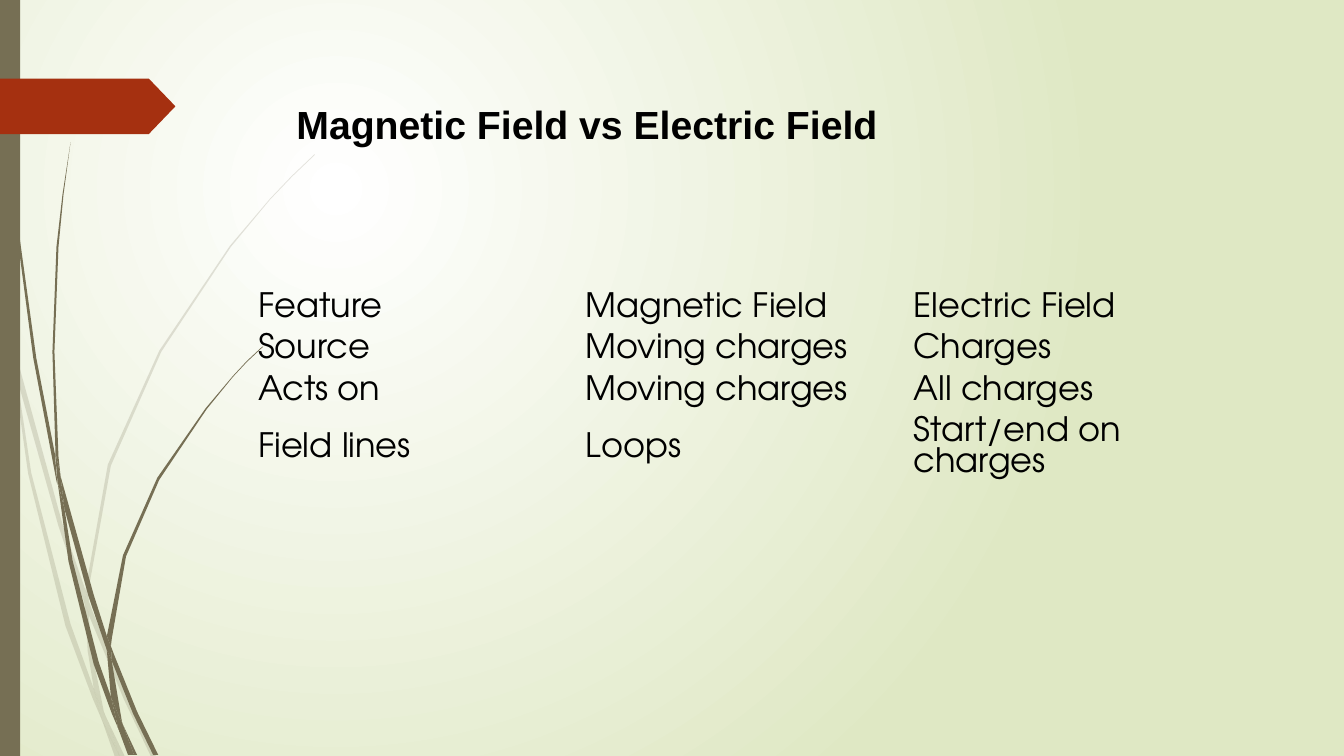
from dataclasses import dataclass

from lxml import etree
from pptx import Presentation
from pptx.dml.color import RGBColor
from pptx.enum.shapes import MSO_SHAPE
from pptx.enum.text import MSO_ANCHOR, MSO_AUTO_SIZE, PP_ALIGN
from pptx.oxml.ns import qn
from pptx.util import Inches, Pt

RECT, ARROW = MSO_SHAPE.RECTANGLE, MSO_SHAPE.PENTAGON
MIDDLE, LEFT, FIXED = MSO_ANCHOR.MIDDLE, PP_ALIGN.LEFT, MSO_AUTO_SIZE.NONE
NO_GRID = "{2D5ABB26-0587-4C30-8999-92F81FD0307C}"

TITLE = "Magnetic Field vs Electric Field"
ROWS = [
    ("Feature", "Magnetic Field", "Electric Field"),
    ("Source", "Moving charges", "Charges"),
    ("Acts on", "Moving charges", "All charges"),
    ("Field lines", "Loops", "Start/end on charges"),
]
HEIGHTS = [0.41, 0.41, 0.41, 0.72]
COL = 3.25

PALE = [
    [(0.11, 3.5), (0.09, 3.22), (0, 2.82), (0, 2.99), (0.1, 3.44)],
    [(0.58, 5.22), (0.84, 5.99), (0.85, 5.86), (0.62, 5.2), (0.14, 3.45), (0.17, 3.76)],
    [(0.92, 6.07), (0.88, 5.96), (0.88, 6.1), (1.23, 6.94), (1.5, 7.51), (1.55, 7.51),
     (1.27, 6.92)],
    [(1.19, 7.51), (1.24, 7.51), (1.05, 7.11)],
    [(0.93, 6.83), (0.7, 6.19), (0.31, 4.69), (0.17, 3.76), (0.11, 3.5), (0.28, 4.7),
     (0.65, 6.21), (0.92, 6.93), (1.01, 7.14), (0.99, 7.07)],
    [(0.84, 5.99), (0.87, 6.46), (0.93, 6.83), (0.96, 6.92), (1.05, 7.11), (1.03, 7.06),
     (0.91, 6.46), (0.88, 6.1), (0.88, 6.08)],
    [(0.88, 5.84), (1.1, 4.62), (1.6, 3.49), (2.29, 2.45), (2.68, 1.98), (2.9, 1.75),
     (3.12, 1.54), (3.12, 1.53), (2.89, 1.75), (2.68, 1.97), (2.28, 2.44), (1.58, 3.48),
     (1.07, 4.61), (0.85, 5.84), (0.85, 5.86), (0.88, 5.96)],
    [(1.01, 7.14), (1.14, 7.51), (1.19, 7.51)],
    [(0.88, 6.08), (0.88, 6.1), (0.88, 5.96), (0.85, 5.86), (0.84, 5.99)],
    [(0.96, 6.92), (0.93, 6.83), (0.99, 7.07), (1.01, 7.14), (1.19, 7.51), (1.05, 7.11)],
]
DARK = [
    [(0.07, 1.1), (0.17, 2.33), (0.33, 3.55), (0.56, 4.77), (0.57, 4.81), (0.55, 4.57),
     (0.55, 4.53), (0.36, 3.55), (0.19, 2.32), (0.08, 1.09), (0.05, 0.48), (0.04, 0),
     (0.03, 0), (0.04, 0.48)],
    [(0.88, 5.92), (1.06, 6.45), (1.06, 6.33), (1.06, 6.31), (0.93, 5.9), (0.6, 4.72),
     (0.64, 5.05)],
    [(1.13, 6.49), (1.1, 6.41), (1.11, 6.56), (1.32, 7.08), (1.52, 7.49), (1.57, 7.49),
     (1.36, 7.06)],
    [(1.1, 6.91), (0.98, 6.57), (0.72, 5.56), (0.64, 5.05), (0.57, 4.77), (0.68, 5.57),
     (0.93, 6.59), (1.11, 7.08), (1.17, 7.22), (1.16, 7.17)],
    [(0.6, 4.72), (0.58, 4.53), (0.54, 3.49), (0.58, 2.45), (0.63, 1.93), (0.7, 1.41),
     (0.62, 1.93), (0.56, 2.45), (0.52, 3.49), (0.55, 4.49)],
    [(1.33, 7.49), (1.36, 7.49), (1.22, 7.19)],
    [(0.57, 4.77), (0.64, 5.05), (0.6, 4.72), (0.55, 4.49), (0.55, 4.53)],
    [(1.11, 6.33), (1.25, 5.52), (1.58, 4.76), (2.05, 4.06), (2.31, 3.74), (2.45, 3.59),
     (2.61, 3.44), (2.6, 3.44), (2.45, 3.58), (2.31, 3.73), (2.04, 4.05), (1.56, 4.74),
     (1.22, 5.51), (1.06, 6.31), (1.1, 6.41)],
    [(1.17, 7.22), (1.27, 7.49), (1.31, 7.49)],
    [(1.06, 6.45), (1.1, 6.91), (1.16, 7.06), (1.22, 7.19), (1.21, 7.16), (1.11, 6.56),
     (1.09, 6.51)],
    [(1.06, 6.45), (1.09, 6.51), (1.11, 6.56), (1.1, 6.41), (1.06, 6.31), (1.06, 6.33)],
    [(1.16, 7.06), (1.1, 6.91), (1.16, 7.17), (1.17, 7.22), (1.3, 7.49), (1.33, 7.49),
     (1.22, 7.19)],
]


@dataclass(frozen=True)
class Theme:
    """Colours, fonts and type sizes."""
    ink: str = "000000"
    stem: str = "766F54"
    tag: str = "A53010"
    inner: str = "FFFFFF"
    outer: str = "DFE8C4"
    head: str = "Arial"
    body: str = "TeX Gyre Adventor"
    head_size: int = 28
    body_size: int = 24


THEME = Theme()


def rgb(code):
    """Turn a hex code into a colour."""
    return RGBColor.from_string(code)


def style(para, name, size, bold=False):
    """Set the font of a paragraph."""
    font = para.font
    font.name, font.size, font.bold = name, Pt(size), bold
    font.color.rgb = rgb(THEME.ink)


def paint(shape, code, alpha=100):
    """Give a shape a flat fill with no line or shadow."""
    shape.shadow.inherit = False
    shape.line.fill.background()
    shape.fill.solid()
    shape.fill.fore_color.rgb = rgb(code)
    if alpha < 100:
        tone = shape.fill._xPr.find(".//" + qn("a:srgbClr"))
        etree.SubElement(tone, qn("a:alpha"), val=str(alpha * 1000))


def draw_blade(slide, edge, alpha):
    """Draw one blade of grass from its outline."""
    dots = [(Inches(x), Inches(y)) for x, y in edge]
    path = slide.shapes.build_freeform(*dots[0], scale=1.0)
    path.add_line_segments(dots[1:], close=True)
    paint(path.convert_to_shape(), THEME.stem, alpha)


def draw_back(slide):
    """Fill the background with a round gradient."""
    fill = slide.background.fill
    fill.gradient()
    for stop, code, place in zip(fill.gradient_stops, (THEME.inner, THEME.outer), (0, 1)):
        stop.color.rgb = rgb(code)
        stop.position = place
    grad = fill._xPr.find(qn("a:gradFill"))
    grad.remove(grad.find(qn("a:lin")))
    path = etree.SubElement(grad, qn("a:path"), path="circle")
    etree.SubElement(path, qn("a:fillToRect"), l="50000", t="50000", r="100000", b="100000")


def draw_title(slide):
    """Place the title."""
    title = slide.shapes.title
    title.left, title.top = Inches(2.84), Inches(0.95)
    title.width, title.height = Inches(6.03), Inches(0.88)
    frame = title.text_frame
    frame.text = TITLE
    frame.word_wrap, frame.auto_size = False, FIXED
    frame.vertical_anchor = MIDDLE
    frame.margin_bottom = Inches(0.38)
    frame.paragraphs[0].alignment = LEFT
    style(frame.paragraphs[0], THEME.head, THEME.head_size, True)


def draw_table(slide):
    """Lay out the table of features."""
    cols = len(ROWS[0])
    frame = slide.shapes.add_table(
        len(ROWS), cols, Inches(2.46), Inches(2.85),
        Inches(COL * cols), Inches(sum(HEIGHTS)))
    frame._element.find(".//" + qn("a:tableStyleId")).text = NO_GRID
    table = frame.table
    table.first_row = table.horz_banding = False
    for r, (row, height) in enumerate(zip(ROWS, HEIGHTS)):
        table.rows[r].height = Inches(height)
        for c, text in enumerate(row):
            cell = table.cell(r, c)
            cell.text = text
            cell.fill.background()
            cell.vertical_anchor = MIDDLE
            style(cell.text_frame.paragraphs[0], THEME.body, THEME.body_size)


def main():
    """Build the slide and save it."""
    deck = Presentation()
    deck.slide_width, deck.slide_height = Inches(13.33), Inches(7.5)
    slide = deck.slides.add_slide(deck.slide_layouts[5])
    draw_back(slide)
    for blades, alpha in ((PALE, 20), (DARK, 100)):
        for edge in blades:
            draw_blade(slide, edge, alpha)
    bar = slide.shapes.add_shape(RECT, 0, 0, Inches(0.2), Inches(7.5))
    paint(bar, THEME.stem)
    tag = slide.shapes.add_shape(ARROW, 0, Inches(0.78), Inches(1.74), Inches(0.55))
    tag.adjustments[0] = 0.48
    paint(tag, THEME.tag)
    draw_table(slide)
    draw_title(slide)
    deck.save("out.pptx")


if __name__ == "__main__":
    main()
